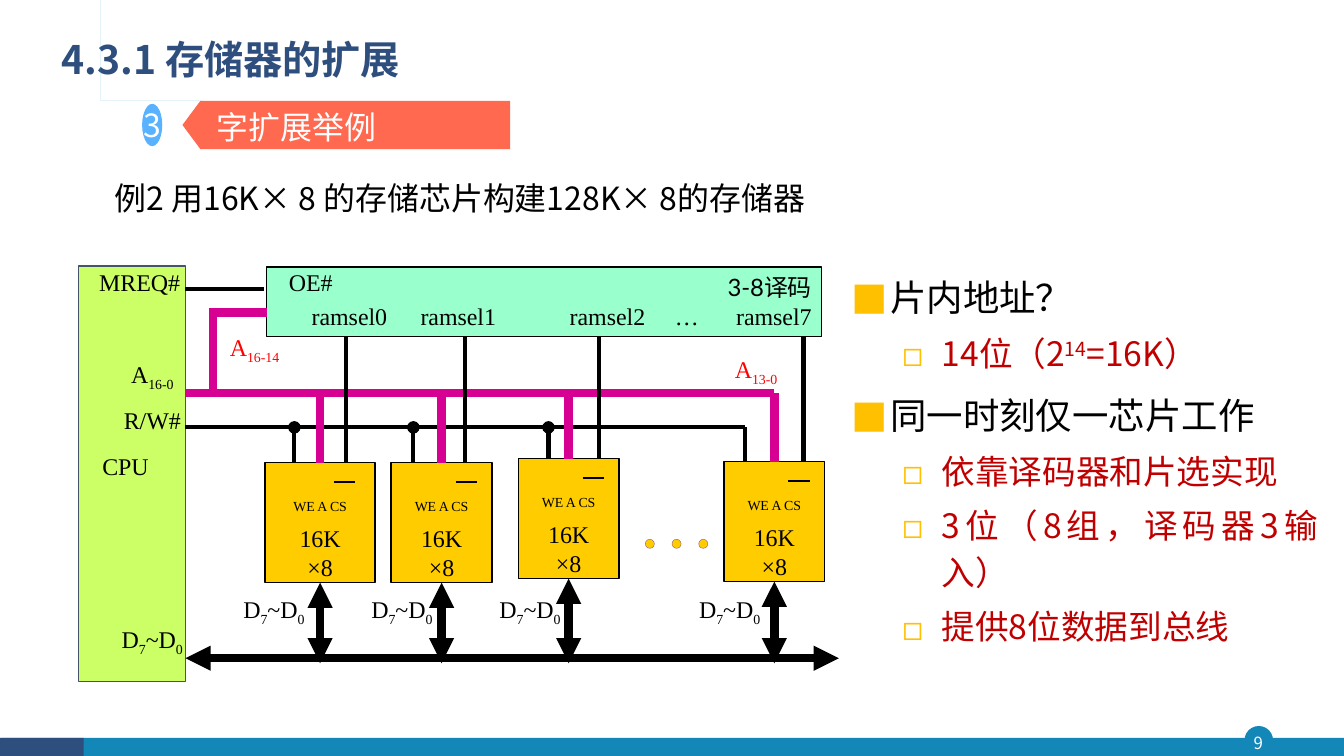
from lxml import etree
from pptx import Presentation
from pptx.dml.color import RGBColor
from pptx.enum.shapes import MSO_CONNECTOR as Link, MSO_SHAPE as Kind
from pptx.enum.text import MSO_ANCHOR as Anchor, MSO_AUTO_SIZE as Fit, PP_ALIGN as Align
from pptx.oxml.ns import qn
from pptx.util import Inches, Pt

# Content; text between underscores is lowered or raised
NOTO, TIMES, LATO = "Noto Sans CJK SC", "Times New Roman", "Lato"
BLACK, WHITE, RED, PINK, GOLD = "000000", "FFFFFF", "FF0000", "D60093", "FFCC00"
TITLE = "4.3.1 存储器的扩展"
BANNER = "字扩展举例"
TASK = "例2 用16K× 8 的存储芯片构建128K× 8的存储器"
POINTS = [
    (0, "片内地址？"),
    (1, "14位（2_14_=16K）"),
    (0, "同一时刻仅一芯片工作"),
    (1, "依靠译码器和片选实现"),
    (1, "3位（8组，译码器3输入）"),
    (1, "提供8位数据到总线"),
]
LEVELS = [  # size, colour, indent, hang, space before, bullet
    (26, BLACK, 0.38, 0.38, 9, "■"),
    (24, "C00000", 0.89, 0.39, 5, "◻"),
]
DATA = "D_7_~D_0_"
CHIP = ["_WE A CS_", "16K", "×8"]
CHIPS = [  # left, top, width, WE wire, CS wire, data label left
    (2.63, 4.59, 1.09, 2.92, 3.43, 2.1),
    (3.88, 4.59, 1, 4.1, 4.61, 3.37),
    (5.14, 4.55, 1, 5.44, 5.94, 4.64),
    (7.18, 4.58, 1, 7.39, 7.97, 6.62),
]
CHIP_H, ADDR_Y, RW_Y, DATA_Y, DEC_Y = 1.19, 3.9, 4.24, 6.53, 3.34
MID, END = Align.CENTER, Align.RIGHT
LABELS = [  # text, left, top, width, align, colour
    ("A_16-14_", 1.85, 3.29, 0.93, END, RED),
    ("A_13-0_", 6.79, 3.51, 0.93, END, RED),
    ("OE#", 2.64, 2.64, 0.67, END, BLACK),
    ("ramsel0", 2.64, 2.98, 1.21, END, BLACK),
    ("ramsel1", 3.72, 2.98, 1.21, END, BLACK),
    ("ramsel2", 5.2, 2.98, 1.21, END, BLACK),
    ("…", 6.4, 2.98, 0.54, END, BLACK),
    ("ramsel7", 6.85, 2.98, 1.21, END, BLACK),
    ("MREQ#", 0.92, 2.64, 0.93, MID, BLACK),
    ("A_16-0_", 1.05, 3.56, 0.92, MID, BLACK),
    ("R/W#", 1.05, 4.01, 0.92, MID, BLACK),
    ("CPU", 0.78, 4.47, 0.93, MID, BLACK),
    (DATA, 1.05, 6.19, 0.92, MID, BLACK),
] + [(DATA, chip[5], 5.89, 0.93, END, BLACK) for chip in CHIPS]
MARK = [
    (0.54, 0.39), (0.54, 0.85), (1.87, 0.85), (1.87, 0.87), (0.52, 0.87),
    (0.52, 0.41), (0.47, 0.41), (0.47, 0.87), (0.36, 0.87), (0.36, 0.39),
    (0.39, 0.39), (0.39, 0.84), (0.44, 0.84), (0.44, 0.39),
]

deck = Presentation()
deck.slide_width, deck.slide_height = Inches(13.33), Inches(7.5)
slide = deck.slides.add_slide(deck.slide_layouts[1])
shapes = slide.shapes


def hue(code):
    return RGBColor.from_string(code)


def write(par, text, size, font, color, bold=False, base=-25):
    for i, part in enumerate(text.split("_")):
        if not part:
            continue
        run = par.add_run()
        run.text = part
        look = {"size": Pt(size), "name": font, "bold": bold}
        for key, value in look.items():
            setattr(run.font, key, value)
        run.font.color.rgb = hue(color)
        east = etree.SubElement(run.font._element, qn("a:ea"))
        east.set("typeface", TIMES if font == TIMES else NOTO)
        if i % 2:
            run.font._element.set("baseline", str(base * 1000))


def frame(shape, pad=(0.1, 0.05, 0.1, 0.05), anchor=Anchor.TOP, wrap=True):
    body = shape.text_frame
    for side, gap in zip(("left", "top", "right", "bottom"), pad):
        setattr(body, "margin_" + side, Inches(gap))
    look = {"word_wrap": wrap, "auto_size": Fit.NONE, "vertical_anchor": anchor}
    for key, value in look.items():
        setattr(body, key, value)
    return body


def paint(shape, fill, edge=None, width=1):
    shape.shadow.inherit = False
    shape.fill.solid()
    shape.fill.fore_color.rgb = hue(fill)
    if edge:
        shape.line.color.rgb = hue(edge)
        shape.line.width = Pt(width)
    else:
        shape.line.fill.background()
    return shape


def block(kind, box, fill, edge=None, width=1):
    return paint(shapes.add_shape(kind, *map(Inches, box)), fill, edge, width)


def label(text, box, size=17.1, font=TIMES, color=BLACK, align=Align.LEFT, **place):
    par = frame(shapes.add_textbox(*map(Inches, box)), **place).paragraphs[0]
    par.alignment = align
    write(par, text, size, font, color)


def wire(x1, y1, x2, y2, width=3, color=BLACK, head=None, tail=None):
    line = shapes.add_connector(Link.STRAIGHT, *map(Inches, (x1, y1, x2, y2)))
    line.line.width = Pt(width)
    line.line.color.rgb = hue(color)
    for tag, tip in (("a:headEnd", head), ("a:tailEnd", tail)):
        if tip:
            etree.SubElement(line.line._get_or_add_ln(), qn(tag)).set("type", tip)
    etree.SubElement(line._element.spPr, qn("a:effectLst"))
    return line


# Footer and title mark
block(Kind.OVAL, (12.35, 7.21, 0.27, 0.27), "1387B7", "1387B7")
block(Kind.RECTANGLE, (0.01, 7.32, 13.32, 0.18), "1387B7")
block(Kind.RECTANGLE, (0, 7.32, 0.83, 0.18), "2E4E7E")
label("9", (12.32, 7.21, 0.32, 0.31), 12, NOTO, WHITE, MID,
      pad=(0, 0, 0, 0), anchor=Anchor.MIDDLE)
pen = shapes.build_freeform(*MARK[0], scale=Inches(1))
pen.add_line_segments(MARK[1:], close=True)
paint(pen.convert_to_shape(), "28A9D6")

# Banner and task
badge = block(Kind.OVAL, (1.41, 1.03, 0.2, 0.42), "59B2FF")
par = frame(badge, (0, 0, 0, 0), Anchor.MIDDLE, False).paragraphs[0]
par.alignment = MID
write(par, "3", 22.8, NOTO, WHITE)
flag = block(Kind.PENTAGON, (1.81, 1, 3.25, 0.48), "FF6950")
flag.adjustments[0] = 0.371
flag._element.spPr.find(qn("a:xfrm")).set("flipH", "1")
label(BANNER, (1.91, 1.02, 3.15, 0.48), 22.8, NOTO, WHITE, pad=(0.24, 0.05, 0.1, 0.05))
label(TASK, (1.04, 1.72, 7.96, 0.48), 22.8, NOTO)

# Processor, decoder and buses
block(Kind.RECTANGLE, (0.78, 2.64, 1.06, 4.12), "CCFF66", "44546A")
decoder = block(Kind.RECTANGLE, (2.64, 2.65, 5.51, 0.69), "99FFCC", BLACK)
par = frame(decoder).paragraphs[0]
par.alignment = END
write(par, "3-8译码", 17.1, LATO, BLACK)
wire(1.84, 2.87, 2.62, 2.87)
wire(1.84, RW_Y, 7.39, RW_Y)
wire(1.84, DATA_Y, 8.32, DATA_Y, 6, BLACK, "triangle", "triangle")
wire(1.84, ADDR_Y, 7.68, ADDR_Y, 6, PINK)
wire(2.11, 3.1, 2.11, ADDR_Y, 6, PINK)
wire(2.07, 3.1, 2.65, 3.1, 6, PINK)

# Chips with their wires
for left, top, wide, we, cs, _ in CHIPS:
    mid = left + wide / 2
    wire(cs, top, cs, DEC_Y)
    wire(we, top, we, RW_Y, tail=None if we == CHIPS[-1][3] else "oval")
    chip = block(Kind.RECTANGLE, (left, top, wide, CHIP_H), GOLD, BLACK)
    body = frame(chip, (0.01, 0.32, 0.01, 0.01))
    for i, text in enumerate(CHIP):
        par = body.add_paragraph() if i else body.paragraphs[0]
        par.alignment = MID
        write(par, text, 17.1, TIMES, BLACK, base=30)
    wire(mid + 0.14, top + 0.19, mid + 0.35, top + 0.19, 1.5)
    wire(mid, ADDR_Y, mid, top, 6, PINK).end_connect(chip, 0)
    data = wire(mid, top + CHIP_H, mid, 6.58, 6, BLACK, "triangle", "triangle")
    data.begin_connect(chip, 2)
for i in range(3):
    block(Kind.OVAL, (6.4 + i * 0.265, 5.35, 0.09, 0.09), GOLD, "954F72", 0.25)

# Signal names
for text, left, top, wide, align, color in LABELS:
    label(text, (left, top, wide, 0.46), color=color, align=align, pad=(0.01,) * 4)

# Title and list
title, notes = slide.placeholders
for holder, box in ((title, (0.51, 0.27, 7.23, 0.68)), (notes, (8.35, 2.61, 4.82, 4.2))):
    holder.left, holder.top, holder.width, holder.height = map(Inches, box)
par = frame(title, anchor=Anchor.MIDDLE).paragraphs[0]
par.alignment, par.line_spacing = Align.LEFT, 0.9
write(par, TITLE, 28, NOTO, "2E4E7E", True)
body = frame(notes)
for i, (level, text) in enumerate(POINTS):
    size, color, indent, hang, gap, sign = LEVELS[level]
    par = body.add_paragraph() if i else body.paragraphs[0]
    look = {"level": level, "alignment": Align.JUSTIFY, "line_spacing": 1.17,
            "space_before": Pt(gap if i else 0), "space_after": Pt(0)}
    for key, value in look.items():
        setattr(par, key, value)
    props = par._p.get_or_add_pPr()
    props.set("marL", str(Inches(indent)))
    props.set("indent", str(-Inches(hang)))
    tint = etree.SubElement(props, qn("a:buClr"))
    etree.SubElement(tint, qn("a:srgbClr")).set("val", "FFC000")
    etree.SubElement(props, qn("a:buFont")).set("typeface", NOTO)
    etree.SubElement(props, qn("a:buChar")).set("char", sign)
    write(par, text, size, NOTO, color, base=30)

deck.save("out.pptx")
